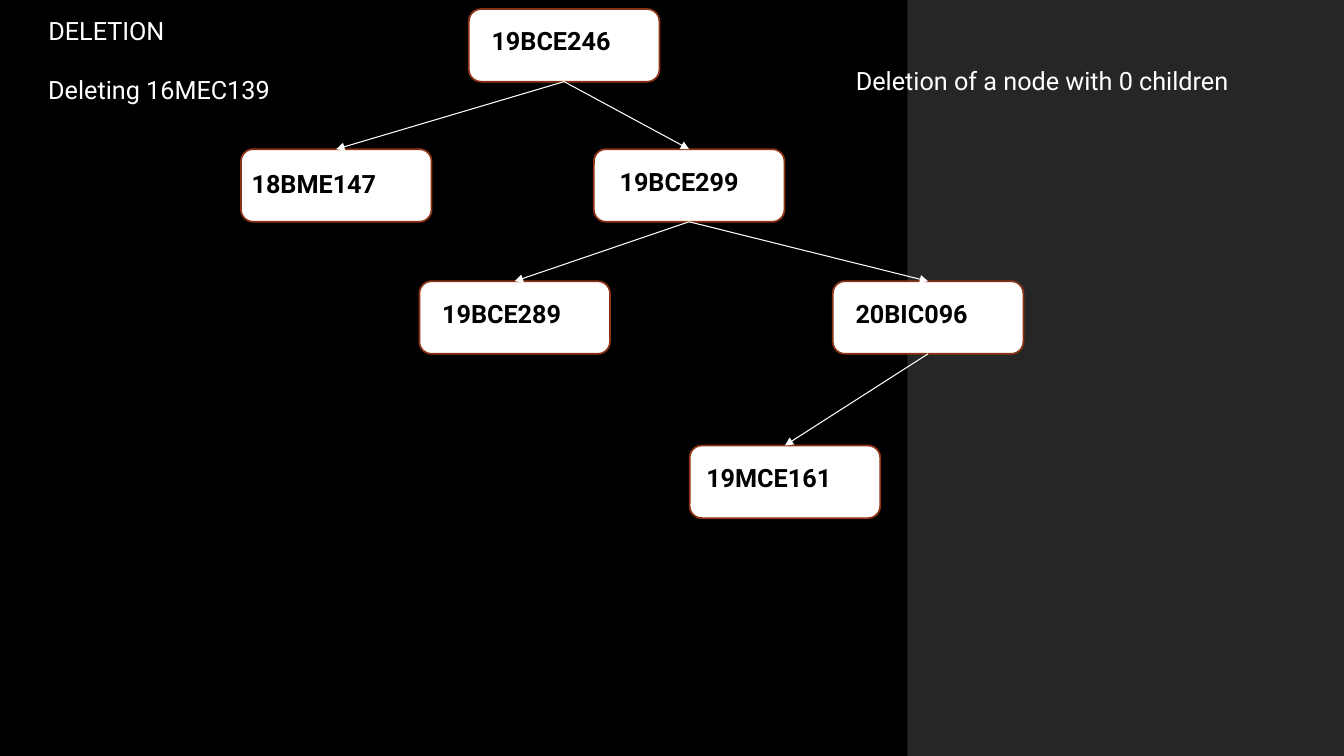
import pptx
import pptx.dml.color
import pptx.enum.shapes
import pptx.enum.text
import pptx.oxml.ns
import pptx.util
from lxml import etree

Inches = pptx.util.Inches
RGBColor = pptx.dml.color.RGBColor
BLACK = RGBColor(0x00, 0x00, 0x00)
CHARCOAL = RGBColor(0x26, 0x26, 0x26)
WHITE = RGBColor(0xFF, 0xFF, 0xFF)
RUST = RGBColor(0x8B, 0x33, 0x14)

WIDTH, HEIGHT = 13.33, 7.5
NODE_WIDTH, NODE_HEIGHT = 1.89, 0.72
TOP_SITE, BOTTOM_SITE = 0, 2

NODES = [
    ("19BCE246", 4.65, 0.09, 0.19, 0.13),
    ("18BME147", 2.39, 1.48, 0.07, 0.15),
    ("19BCE299", 5.89, 1.48, 0.22, 0.13),
    ("19BCE289", 4.16, 2.79, 0.19, 0.13),
    ("20BIC096", 8.26, 2.79, 0.19, 0.13),
    ("19MCE161", 6.84, 4.42, 0.13, 0.13),
]
EDGES = [
    ("19BCE246", "18BME147"),
    ("19BCE246", "19BCE299"),
    ("19BCE299", "19BCE289"),
    ("19BCE299", "20BIC096"),
    ("20BIC096", "19MCE161"),
]


def write_text(frame, text, color=WHITE, bold=False, size=18, font="Roboto", wrap=True):
    frame.word_wrap = wrap
    frame.auto_size = pptx.enum.text.MSO_AUTO_SIZE.NONE
    frame.vertical_anchor = pptx.enum.text.MSO_ANCHOR.TOP
    paragraph = frame.paragraphs[0]
    paragraph.alignment = pptx.enum.text.PP_ALIGN.LEFT
    run = paragraph.add_run()
    run.text = text
    run.font.name = font
    run.font.size = pptx.util.Pt(size)
    run.font.bold = bold
    run.font.color.rgb = color


class TreeSlide:
    """Draws the parts of a binary tree slide in one style."""

    def __init__(self, presentation):
        self.slide = presentation.slides.add_slide(presentation.slide_layouts[5])
        self.shapes = self.slide.shapes
        self.slide.background.fill.solid()
        self.slide.background.fill.fore_color.rgb = BLACK

    def paint(self, shape, fill, line=None):
        shape.shadow.inherit = False
        shape.fill.solid()
        shape.fill.fore_color.rgb = fill
        if line is None:
            shape.line.fill.background()
        else:
            shape.line.color.rgb = line
            shape.line.width = pptx.util.Pt(1.25)

    def backdrop(self, edge=8.79, bulge=0.38, steps=50):
        panel = self.shapes.add_shape(
            pptx.enum.shapes.MSO_SHAPE.RECTANGLE, 0, 0, Inches(WIDTH), Inches(HEIGHT))
        self.paint(panel, CHARCOAL)
        curve = []
        for step in range(steps + 1):
            share = step / steps
            curve.append((edge + bulge * 4 * share * (1 - share), HEIGHT * share))
        builder = self.shapes.build_freeform(0, 0, scale=Inches(1))
        builder.add_line_segments(curve + [(0, HEIGHT)], close=True)
        self.paint(builder.convert_to_shape(), BLACK)

    def title(self, text, left, top, width, height):
        title = self.shapes.title
        title.left, title.top = Inches(left), Inches(top)
        title.width, title.height = Inches(width), Inches(height)
        write_text(title.text_frame, text)
        title.element.getparent().append(title.element)

    def caption(self, text, left, top, width, height):
        box = self.shapes.add_textbox(
            Inches(left), Inches(top), Inches(width), Inches(height))
        write_text(box.text_frame, text)

    def node(self, text, left, top, inset_left, inset_top):
        shape = self.shapes.add_shape(
            pptx.enum.shapes.MSO_SHAPE.ROUNDED_RECTANGLE,
            Inches(left), Inches(top), Inches(NODE_WIDTH), Inches(NODE_HEIGHT))
        self.paint(shape, WHITE, RUST)
        write_text(shape.text_frame, text, color=BLACK, bold=True, wrap=False)
        shape.text_frame.margin_left = Inches(inset_left)
        shape.text_frame.margin_top = Inches(inset_top)
        return shape

    def arrow(self, parent, child):
        connector = self.shapes.add_connector(
            pptx.enum.shapes.MSO_CONNECTOR.STRAIGHT, 0, 0, 0, 0)
        connector.begin_connect(parent, BOTTOM_SITE)
        connector.end_connect(child, TOP_SITE)
        connector.line.color.rgb = WHITE
        connector.line.width = pptx.util.Pt(0.75)
        qualified = pptx.oxml.ns.qn
        etree.SubElement(connector.line._get_or_add_ln(), qualified("a:tailEnd"), type="triangle")
        etree.SubElement(connector.element.spPr, qualified("a:effectLst"))


def main():
    presentation = pptx.Presentation()
    presentation.slide_width = Inches(WIDTH)
    presentation.slide_height = Inches(HEIGHT)
    tree = TreeSlide(presentation)
    tree.backdrop()
    tree.title("DELETION", 0.38, 0.1, 3.62, 0.4)
    tree.caption("Deleting 16MEC139", 0.38, 0.69, 3.44, 0.4)
    tree.caption("Deletion of a node with 0 children", 8.39, 0.6, 4, 0.71)
    nodes = {node[0]: tree.node(*node) for node in NODES}
    for parent, child in EDGES:
        tree.arrow(nodes[parent], nodes[child])
    presentation.save("out.pptx")


if __name__ == "__main__":
    main()
